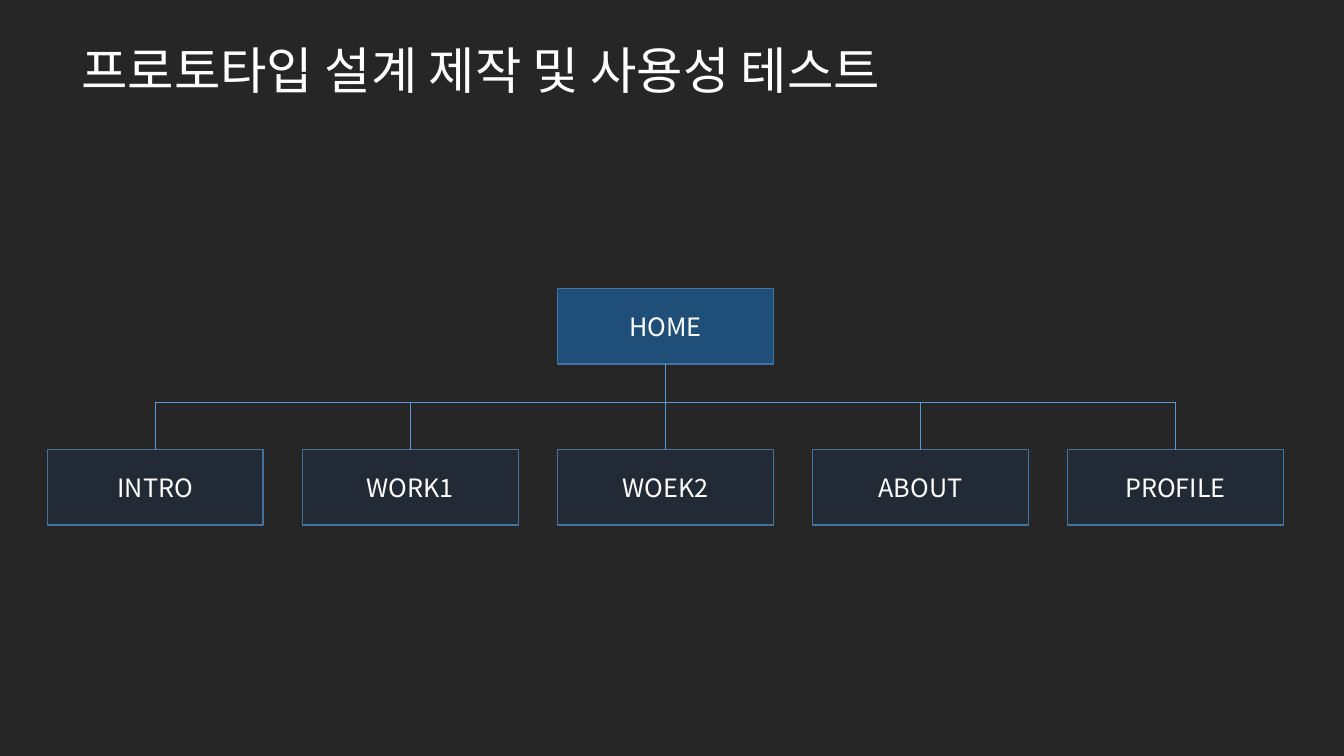
import lxml.etree
import pptx
import pptx.dml.color
import pptx.enum.shapes
import pptx.enum.text
import pptx.oxml.ns
import pptx.util

Inches = pptx.util.Inches
Pt = pptx.util.Pt
RGB = pptx.dml.color.RGBColor.from_string
qn = pptx.oxml.ns.qn

FONT = "Noto Sans CJK KR"
COLORS = {
    "background": "262626",
    "text": "FFFFFF",
    "home": "1F4E79",
    "page": "222A35",
    "border": "43739E",
    "line": "5B9BD5",
}
PAGES = ["INTRO", "WORK1", "WOEK2", "ABOUT", "PROFILE"]
BOX_W, BOX_H = 2.14, 0.75
LEFT, PITCH = 0.47, 2.53
HOME_TOP, BUS_Y, PAGE_TOP = 2.86, 3.99, 4.46


def write(tf, text, size):
    """Put one line of text in the frame, with the font set for Latin and Korean."""
    tf.word_wrap = True
    p = tf.paragraphs[0]
    p.text = text
    r = p.runs[0]
    r.font.name = FONT
    r.font.size = Pt(size)
    r.font.color.rgb = RGB(COLORS["text"])
    ea = lxml.etree.SubElement(r.font._element, qn("a:ea"))
    ea.set("typeface", FONT)
    return p


prs = pptx.Presentation()
prs.slide_width = Inches(13.33)
prs.slide_height = Inches(7.5)
s = prs.slides.add_slide(prs.slide_layouts[6])
s.background.fill.solid()
s.background.fill.fore_color.rgb = RGB(COLORS["background"])

title = s.shapes.add_textbox(Inches(0.71), Inches(0.34), Inches(12.06), Inches(0.98))
write(title.text_frame, "프로토타입 설계 제작 및 사용성 테스트", 36)
title.text_frame.auto_size = pptx.enum.text.MSO_AUTO_SIZE.SHAPE_TO_FIT_TEXT

# Site map boxes: HOME above the middle page
lefts = [LEFT + i * PITCH for i in range(len(PAGES))]
middle = len(PAGES) // 2
boxes = [("HOME", lefts[middle], HOME_TOP, "home")]
boxes += [(name, left, PAGE_TOP, "page") for name, left in zip(PAGES, lefts)]
for name, left, top, color in boxes:
    sp = s.shapes.add_shape(
        pptx.enum.shapes.MSO_SHAPE.FLOWCHART_PROCESS,
        Inches(left), Inches(top), Inches(BOX_W), Inches(BOX_H))
    sp.shadow.inherit = False
    sp.fill.solid()
    sp.fill.fore_color.rgb = RGB(COLORS[color])
    sp.line.color.rgb = RGB(COLORS["border"])
    sp.line.width = Pt(1)
    sp.text_frame.vertical_anchor = pptx.enum.text.MSO_ANCHOR.MIDDLE
    p = write(sp.text_frame, name, 18)
    p.alignment = pptx.enum.text.PP_ALIGN.CENTER

# A horizontal bus with one drop per page; the middle drop starts at HOME
centers = [left + BOX_W / 2 for left in lefts]
lines = [(centers[0], BUS_Y, centers[-1], BUS_Y)]
for i, x in enumerate(centers):
    top = HOME_TOP + BOX_H if i == middle else BUS_Y
    lines.append((x, top, x, PAGE_TOP))
for x1, y1, x2, y2 in lines:
    c = s.shapes.add_connector(
        pptx.enum.shapes.MSO_CONNECTOR.STRAIGHT,
        Inches(x1), Inches(y1), Inches(x2), Inches(y2))
    c.line.color.rgb = RGB(COLORS["line"])
    c.line.width = Pt(0.5)
    lxml.etree.SubElement(c._element.spPr, qn("a:effectLst"))

prs.save("out.pptx")
